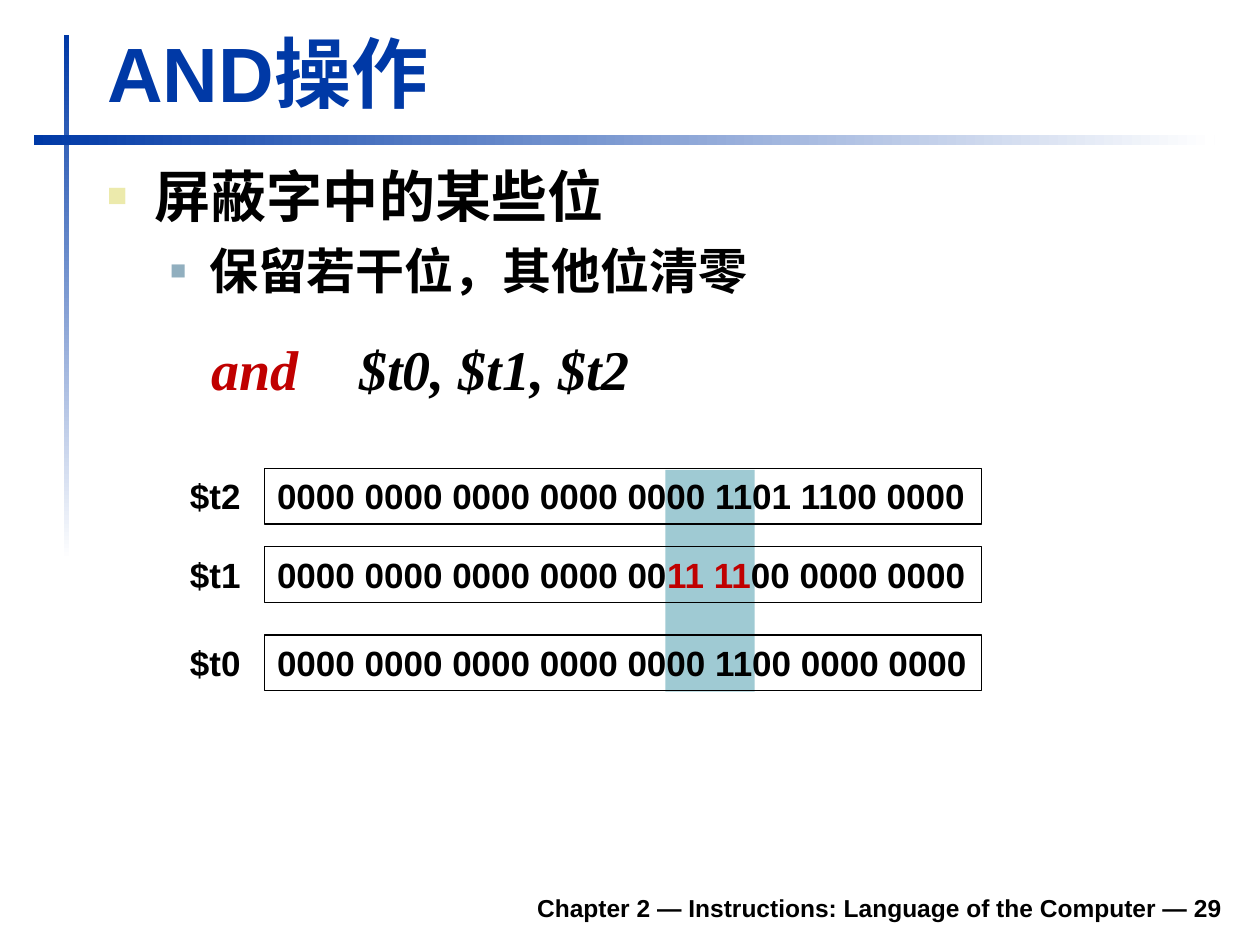
"""Build the slide that explains the AND operation on register bits."""
from lxml.etree import SubElement
from pptx import Presentation
from pptx.dml.color import RGBColor
from pptx.enum.shapes import MSO_SHAPE as Shape
from pptx.enum.text import MSO_ANCHOR as Anchor, MSO_AUTO_SIZE as Fit, PP_ALIGN as Align
from pptx.oxml.ns import qn
from pptx.util import Inches, Pt

BLUE, RED, BLACK, WHITE, TEAL = "0039A6", "C00000", "000000", "FFFFFF", "9FCAD3"


def color(hex_value):
    return RGBColor.from_string(hex_value)


def write(paragraph, text, size, ink=BLACK, face="Arial", italic=False):
    run = paragraph.add_run()
    run.text = text
    run.font.color.rgb = color(ink)
    look = {"size": Pt(size), "name": face, "bold": True, "italic": italic}
    for key, value in look.items():
        setattr(run.font, key, value)


deck = Presentation()
deck.slide_width, deck.slide_height = Inches(10), Inches(7.5)
slide = deck.slides.add_slide(deck.slide_layouts[1])
shapes = slide.shapes

rules = [((0.51, 0.28, 0.04, 4.17), 270), ((0.27, 1.07, 9.37, 0.08), 0)]
for place, angle in rules:
    rule = shapes.add_shape(Shape.RECTANGLE, *map(Inches, place))
    rule.shadow.inherit = False
    rule.line.fill.background()
    rule.fill.gradient()
    rule.fill.gradient_angle = angle
    for stop, shade in zip(rule.fill.gradient_stops, (BLUE, WHITE)):
        stop.color.rgb = color(shade)

title, body = shapes.title, slide.placeholders[1]
placements = [(title, (0.75, 0.16, 9.03, 0.83)), (body, (0.75, 1.23, 9.04, 2.27))]
for holder, place in placements:
    holder.left, holder.top, holder.width, holder.height = map(Inches, place)
    holder.text_frame.auto_size = Fit.NONE

title.text_frame.vertical_anchor = Anchor.BOTTOM
heading = title.text_frame.paragraphs[0]
heading.alignment = Align.LEFT
write(heading, "AND操作", 44, BLUE)

points = [
    ("屏蔽字中的某些位", 32, 0, 0.38, -0.38, 0, "ECEAAC", 60),
    ("保留若干位，其他位清零", 28, 1, 0.81, -0.31, 7, "91AFBF", 55),
]
point = body.text_frame.paragraphs[0]
for text, size, level, margin, indent, before, bullet_color, bullet_size in points:
    point.level = level
    point.space_before = Pt(before)
    layout = point._p.get_or_add_pPr()
    layout.set("marL", str(Inches(margin)))
    layout.set("indent", str(Inches(indent)))
    SubElement(SubElement(layout, qn("a:buClr")), qn("a:srgbClr"), val=bullet_color)
    SubElement(layout, qn("a:buSzPct"), val=str(bullet_size * 1000))
    SubElement(layout, qn("a:buFont"), typeface="Arial")
    SubElement(layout, qn("a:buChar"), char="■")
    write(point, text, size)
    point = body.text_frame.add_paragraph()

instruction = point
layout = instruction._p.get_or_add_pPr()
layout.set("marL", "0")
layout.set("indent", str(Inches(0.83)))
SubElement(layout, qn("a:buNone"))
SubElement(SubElement(layout, qn("a:tabLst")), qn("a:tab"), pos=str(Inches(1.75)), algn="l")
instruction.space_before, instruction.space_after = Pt(20), Pt(12)
write(instruction, "and", 32, RED, "Times New Roman", True)
write(instruction, "\t$t0, $t1, $t2", 32, BLACK, "Times New Roman", True)

mask = shapes.add_shape(Shape.RECTANGLE, *map(Inches, (5.28, 3.73, 0.71, 1.76)))
mask.shadow.inherit = False
mask.fill.solid()
mask.fill.fore_color.rgb = color(TEAL)
mask.line.fill.background()

registers = [
    ("$t2", 3.72, [("0000 0000 0000 0000 0000 1101 1100 0000", BLACK)]),
    ("$t1", 4.34, [("0000 0000 0000 0000 00", BLACK), ("11 11", RED), ("00 0000 0000", BLACK)]),
    ("$t0", 5.04, [("0000 0000 0000 0000 0000 1100 0000 0000", BLACK)]),
]
frame_format = {"word_wrap": False, "auto_size": Fit.SHAPE_TO_FIT_TEXT, "vertical_anchor": Anchor.TOP}
for register, top, bits in registers:
    word = shapes.add_shape(Shape.RECTANGLE, *map(Inches, (2.1, top, 5.69, 0.44)))
    word.shadow.inherit = False
    word.fill.background()
    word.line.color.rgb = color(BLACK)
    word.line.width = Pt(0.75)
    label = shapes.add_textbox(*map(Inches, (1.41, top, 0.6, 0.44)))
    for box, pieces in ((word, bits), (label, [(register, BLACK)])):
        for key, value in frame_format.items():
            setattr(box.text_frame, key, value)
        line = box.text_frame.paragraphs[0]
        line.alignment = Align.LEFT
        for text, ink in pieces:
            write(line, text, 20, ink)

footer = shapes.add_textbox(*map(Inches, (1.85, 6.98, 7.95, 0.39)))
footer.text_frame.word_wrap = True
footer.text_frame.vertical_anchor = Anchor.BOTTOM
credit = footer.text_frame.paragraphs[0]
credit.alignment = Align.RIGHT
write(credit, "Chapter 2 — Instructions: Language of the Computer — 29", 14)

deck.save("out.pptx")
